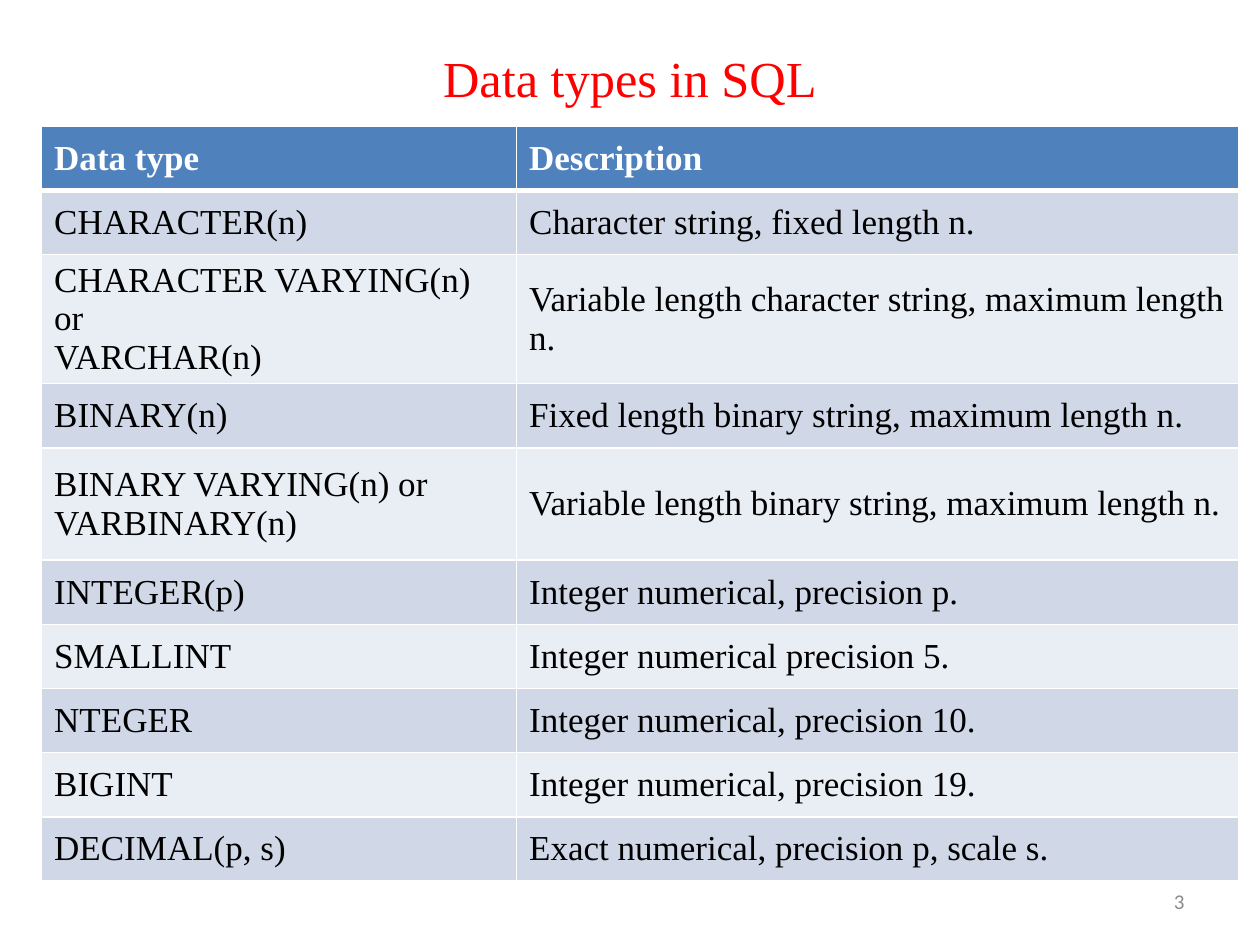
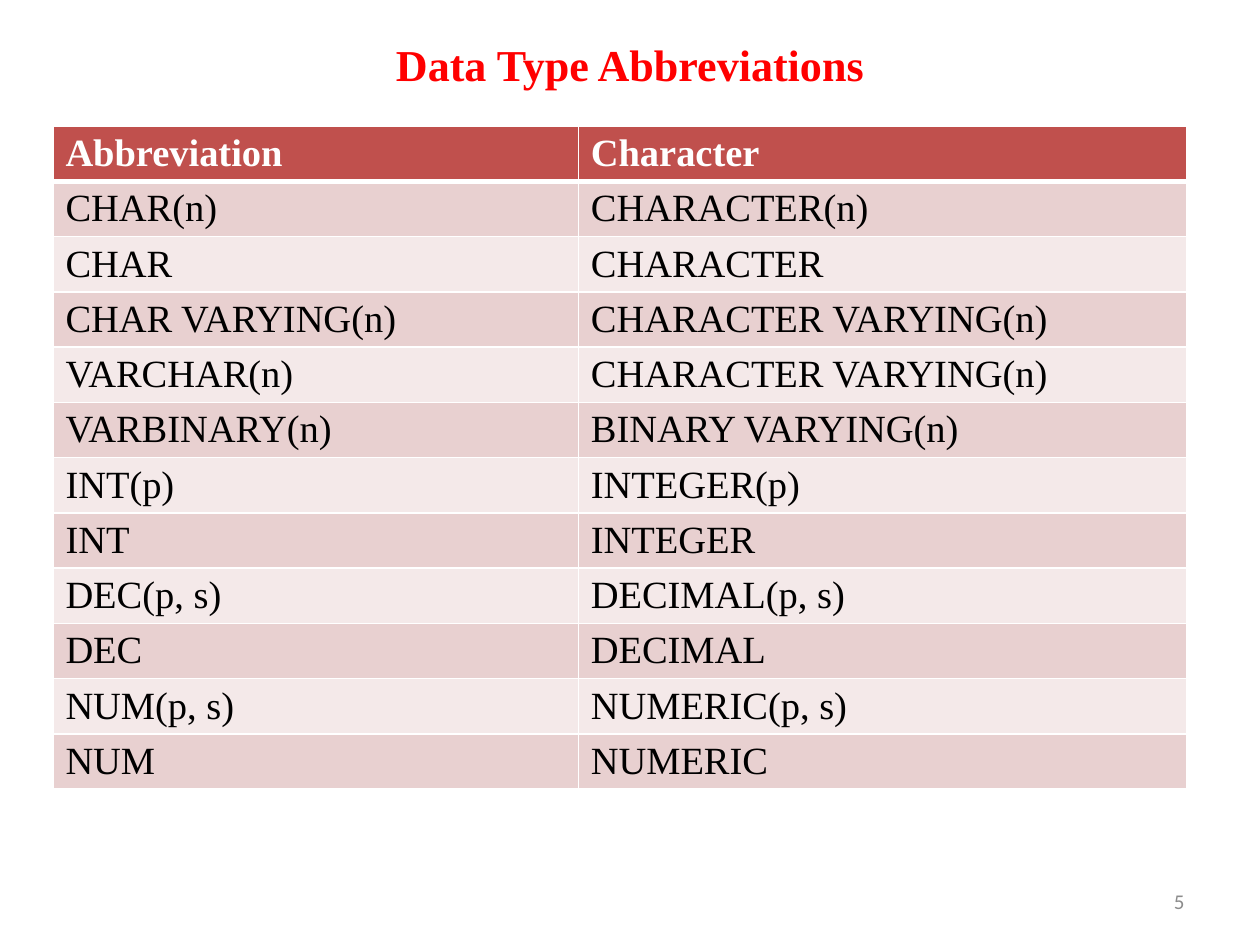
from lxml import etree
from pptx import Presentation
from pptx.dml.color import RGBColor
from pptx.enum import text
from pptx.oxml import ns
from pptx.util import Inches, Pt

RED = RGBColor(0xFF, 0x00, 0x00)
WHITE = RGBColor(0xFF, 0xFF, 0xFF)
BLACK = RGBColor(0x00, 0x00, 0x00)
GREY = RGBColor(0x8C, 0x8C, 0x8C)
# Header, odd row, even row
BLUES = (RGBColor(0x4F, 0x81, 0xBD), RGBColor(0xD0, 0xD8, 0xE8),
         RGBColor(0xE9, 0xED, 0xF4))
ROSES = (RGBColor(0xC0, 0x50, 0x4D), RGBColor(0xE8, 0xD0, 0xD0),
         RGBColor(0xF4, 0xE9, 0xE9))
SERIF = "Times New Roman"
SANS = "Calibri"
MIDDLE = text.MSO_ANCHOR.MIDDLE


def style(par, face, size, color, bold=False):
    font = par.font
    font.name, font.size, font.bold = face, Pt(size), bold
    font.color.rgb = color


def add_title(slide, box, words, size, bold=False, anchor=MIDDLE):
    title = slide.shapes.title
    title.left, title.top, title.width, title.height = map(Inches, box)
    frame = title.text_frame
    frame.text = words
    frame.auto_size = text.MSO_AUTO_SIZE.NONE
    frame.vertical_anchor = anchor
    if anchor == text.MSO_ANCHOR.TOP:
        frame.margin_top = 0
    par = frame.paragraphs[0]
    par.alignment = text.PP_ALIGN.CENTER
    style(par, SERIF, size, RED, bold)


def add_number(slide, box, number):
    frame = slide.shapes.add_textbox(*map(Inches, box)).text_frame
    frame.word_wrap = True
    frame.vertical_anchor = MIDDLE
    par = frame.paragraphs[0]
    par.text = str(number)
    par.alignment = text.PP_ALIGN.RIGHT
    style(par, SANS, 12, GREY)


def add_borders(cell, top, bottom):
    """Draw white cell borders; they must precede the fill in tcPr."""
    props = cell._tc.get_or_add_tcPr()
    widths = (("L", 1), ("R", 1), ("T", top), ("B", bottom))
    for place, (side, width) in enumerate(widths):
        line = etree.Element(ns.qn("a:ln" + side), w=str(Pt(width)))
        fill = etree.SubElement(line, ns.qn("a:solidFill"))
        etree.SubElement(fill, ns.qn("a:srgbClr"), val=str(WHITE))
        props.insert(place, line)


def add_grid(slide, left, top, cols, heights, data, fills, size):
    shape = slide.shapes.add_table(
        len(data), len(cols), Inches(left), Inches(top),
        Inches(sum(cols)), Inches(sum(heights)))
    table = shape.table
    for col, width in zip(table.columns, cols):
        col.width = Inches(width)
    for i, (words, height) in enumerate(zip(data, heights)):
        table.rows[i].height = Inches(height)
        head = i == 0
        for j, word in enumerate(words):
            cell = table.cell(i, j)
            cell.text = word
            cell.vertical_anchor = MIDDLE
            cell.fill.solid()
            cell.fill.fore_color.rgb = fills[0 if head else 2 - i % 2]
            add_borders(cell, 3 if i == 1 else 1, 3 if head else 1)
            for par in cell.text_frame.paragraphs:
                style(par, SERIF, size, WHITE if head else BLACK, head)


TYPES = [
    ("Data type", "Description"),
    ("CHARACTER(n)", "Character string, fixed length n."),
    ("CHARACTER VARYING(n) or\vVARCHAR(n)",
     "Variable length character string, maximum length n."),
    ("BINARY(n)", "Fixed length binary string, maximum length n."),
    ("BINARY VARYING(n) or\vVARBINARY(n)",
     "Variable length binary string, maximum length n."),
    ("INTEGER(p)", "Integer numerical, precision p."),
    ("SMALLINT", "Integer numerical precision 5."),
    ("NTEGER", "Integer numerical, precision 10."),
    ("BIGINT", "Integer numerical, precision 19."),
    ("DECIMAL(p, s)", "Exact numerical, precision p, scale s."),
]
SHORTS = [
    ("Abbreviation", "Character"),
    ("CHAR(n)", "CHARACTER(n)"),
    ("CHAR", "CHARACTER"),
    ("CHAR VARYING(n)", "CHARACTER VARYING(n)"),
    ("VARCHAR(n)", "CHARACTER VARYING(n)"),
    ("VARBINARY(n)", "BINARY VARYING(n)"),
    ("INT(p)", "INTEGER(p)"),
    ("INT", "INTEGER"),
    ("DEC(p, s)", "DECIMAL(p, s)"),
    ("DEC", "DECIMAL"),
    ("NUM(p, s)", "NUMERIC(p, s)"),
    ("NUM", "NUMERIC"),
]
FOOT = (7.17, 6.95, 2.33, 0.4)

deck = Presentation()
deck.slide_width, deck.slide_height = Inches(10), Inches(7.5)
layout = deck.slide_layouts[5]

# Data types: rows with two-line names are taller
slide = deck.slides.add_slide(layout)
add_title(slide, (0.5, 0.3, 9, 0.62), "Data types in SQL", 28.8)
tall = [0.89 if "\v" in name else 0.51 for name, _ in TYPES]
add_grid(slide, 0.33, 1, (3.77, 5.73), tall, TYPES, BLUES, 20)
add_number(slide, FOOT, 3)

# Abbreviations
slide = deck.slides.add_slide(layout)
add_title(slide, (0.5, 0.3, 9, 0.7), "Data Type Abbreviations", 25.2, True,
          text.MSO_ANCHOR.TOP)
add_grid(slide, 0.42, 1, (4.17, 4.83), [0.41] * len(SHORTS), SHORTS, ROSES, 22)
add_number(slide, FOOT, 5)

deck.save("out.pptx")
